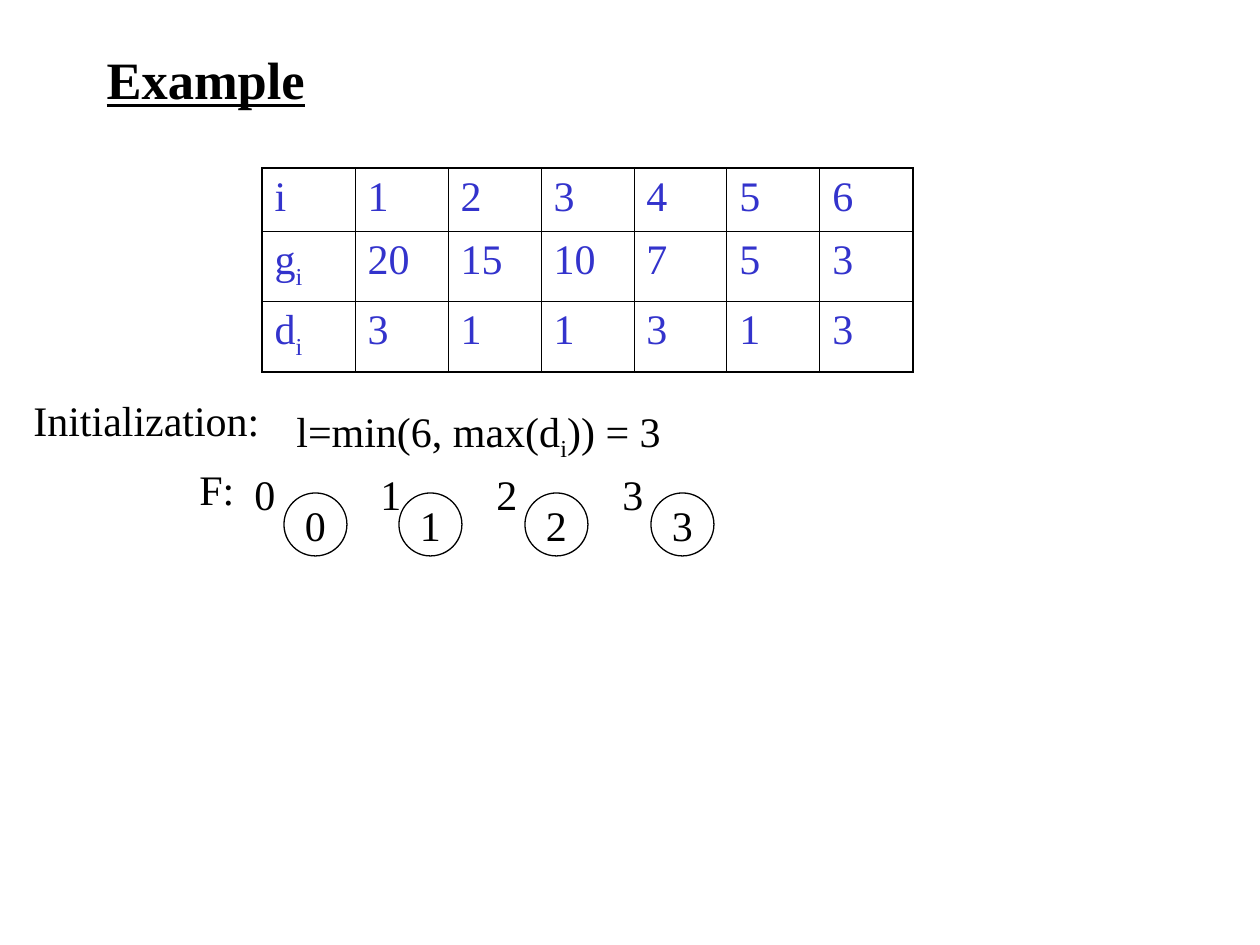
from lxml.etree import SubElement
from pptx import Presentation
from pptx.dml.color import RGBColor as RGB
from pptx.enum.shapes import MSO_SHAPE as SHAPE
from pptx.enum.text import MSO_ANCHOR as ANCHOR, MSO_AUTO_SIZE as AUTO, PP_ALIGN as ALIGN
from pptx.oxml.ns import qn
from pptx.util import Emu, Pt

COLORS = {"ink": "000000", "table": "3333CC"}
FONT = "Times New Roman"


def px(*values):
    return [Emu(round(value * 914400 / 126)) for value in values]


def write(frame, pieces, color="ink", size=24):
    para = frame.paragraphs[0]
    for index, piece in enumerate(pieces):
        span = para.add_run()
        span.text = piece
        span.font.name = FONT
        span.font.size = Pt(size)
        span.font.color.rgb = RGB.from_string(COLORS[color])
        if index == 1:
            span._r.get_or_add_rPr().set("baseline", "-25000")
    return para


deck = Presentation()
deck.slide_width, deck.slide_height = px(1260, 945)
page = deck.slides.add_slide(deck.slide_layouts[5])

title = page.shapes.title
title.left, title.top, title.width, title.height = px(94, 42, 851, 73)
title.text_frame.auto_size = AUTO.NONE
title.text_frame.vertical_anchor = ANCHOR.MIDDLE
heading = write(title.text_frame, ["Example"], size=30)
heading.alignment = ALIGN.LEFT
heading.runs[0].font.bold = True
heading.runs[0].font.underline = True

rows = [
    [["i"], "1", "2", "3", "4", "5", "6"],
    [["g", "i"], "20", "15", "10", "7", "5", "3"],
    [["d", "i"], "3", "1", "1", "3", "1", "3"],
]
row_heights = px(63, 70, 71)
column_width = px(93)[0]
last_row, last_column = len(rows) - 1, len(rows[0]) - 1
table = page.shapes.add_table(len(rows), len(rows[0]), *px(262, 168, 651, 204)).table
table.first_row = False
table.horz_banding = False
for column in table.columns:
    column.width = column_width
for r, values in enumerate(rows):
    table.rows[r].height = row_heights[r]
    for c, value in enumerate(values):
        cell = table.cell(r, c)
        pieces = value if isinstance(value, list) else [value]
        write(cell.text_frame, pieces, "table").space_before = Pt(6)
        outer_edges = {"L": c == 0, "R": c == last_column, "T": r == 0, "B": r == last_row}
        for side, outer in outer_edges.items():
            width = Pt(1.08) if outer else Pt(0.45)
            border = SubElement(cell._tc.get_or_add_tcPr(), qn(f"a:ln{side}"), w=str(width))
            SubElement(SubElement(border, qn("a:solidFill")), qn("a:srgbClr"), val=COLORS["ink"])
        cell.fill.background()

labels = [
    (21, 388, 258, 63, ["Initialization:"]),
    (284, 399, 396, 71, ["l=min(6, max(d", "i", ")) = 3"]),
    (187, 457, 64, 63, ["F:"]),
]
set_columns = [(242, 284), (368, 399), (484, 525), (610, 651)]
for number, (label_left, circle_left) in enumerate(set_columns):
    labels.append((label_left, 462, 48, 63, [str(number)]))
    circle = page.shapes.add_shape(SHAPE.OVAL, *px(circle_left, 493, 63, 63))
    circle.shadow.inherit = False
    circle.fill.background()
    circle.line.color.rgb = RGB.from_string(COLORS["ink"])
    circle.line.width = Pt(0.75)
    circle.text_frame.word_wrap = False
    circle.text_frame.vertical_anchor = ANCHOR.MIDDLE
    write(circle.text_frame, [str(number)]).alignment = ALIGN.CENTER

for left, top, width, height, pieces in labels:
    box = page.shapes.add_textbox(*px(left, top, width, height))
    box.text_frame.word_wrap = True
    box.text_frame.auto_size = AUTO.NONE
    write(box.text_frame, pieces)

deck.save("out.pptx")
